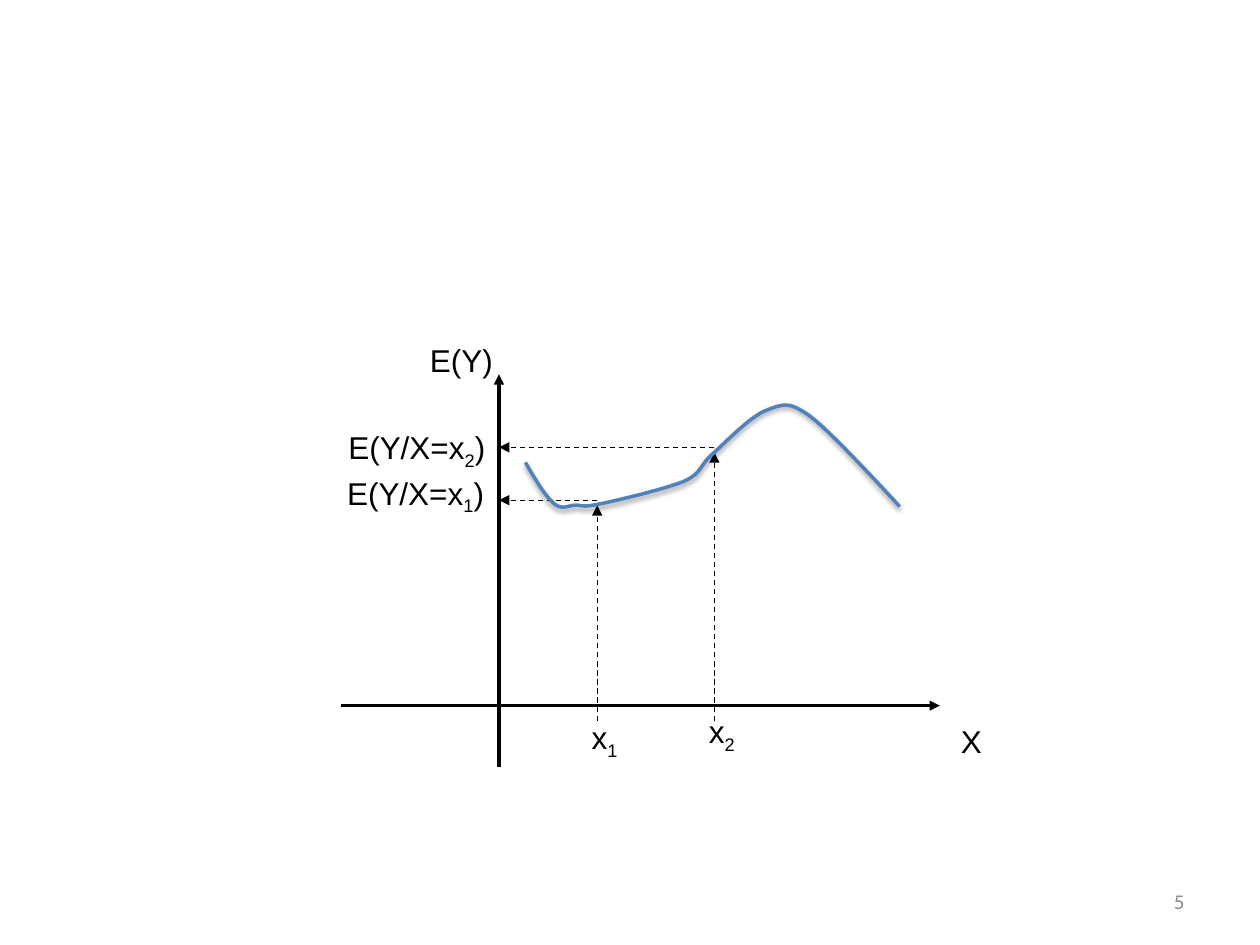
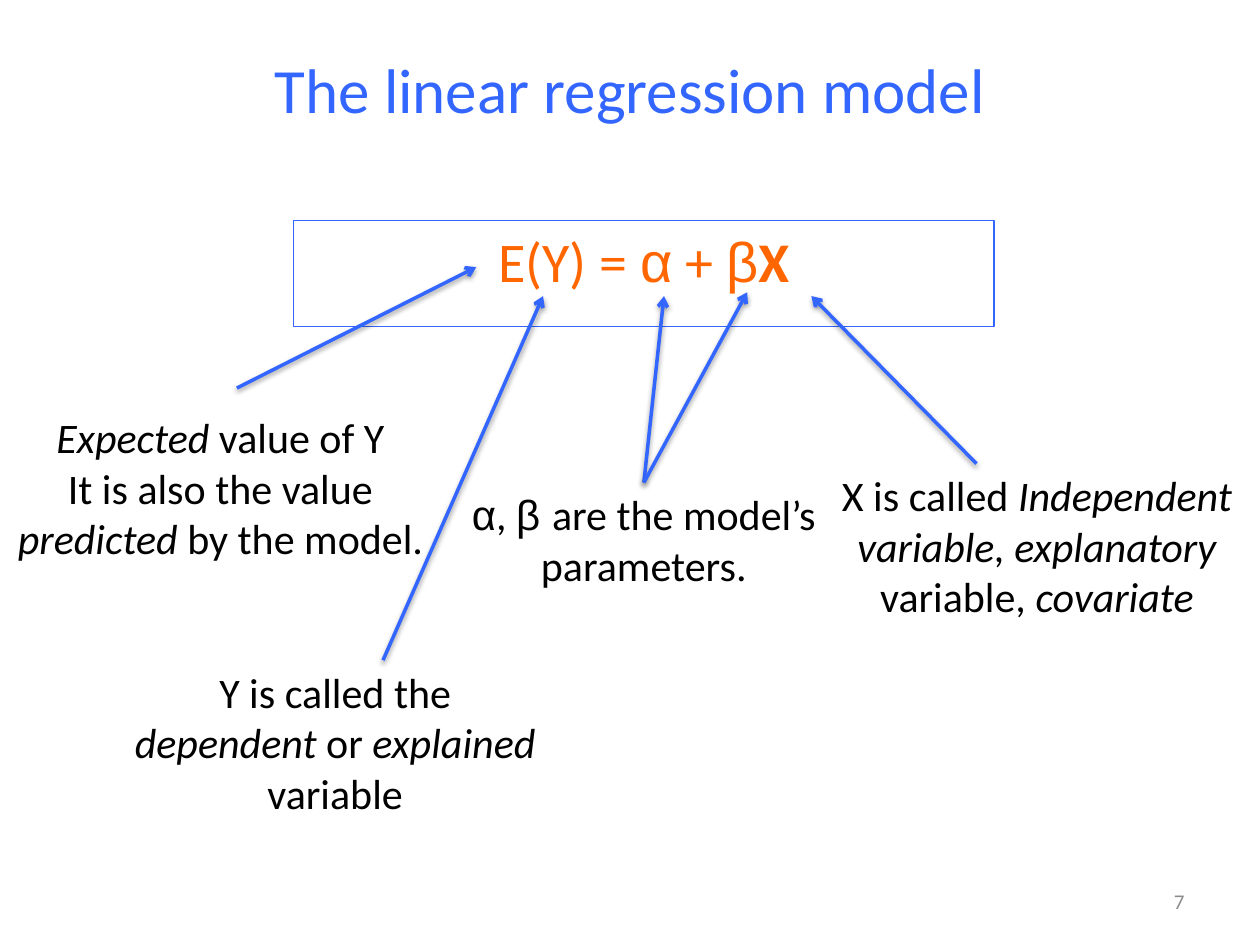
from dataclasses import dataclass

from lxml.etree import SubElement
from pptx import Presentation
from pptx.dml.color import RGBColor
from pptx.enum.dml import MSO_LINE
from pptx.enum.shapes import MSO_CONNECTOR, MSO_SHAPE
from pptx.enum.text import MSO_ANCHOR, PP_ALIGN
from pptx.oxml.ns import qn
from pptx.util import Inches, Pt

BLACK = RGBColor(0x00, 0x00, 0x00)
GREY = RGBColor(0x8C, 0x8C, 0x8C)
BLUE = RGBColor(0x33, 0x66, 0xFF)
ORANGE = RGBColor(0xFF, 0x66, 0x00)
CURVE_BLUE = RGBColor(0x4F, 0x81, 0xBD)

# The slide is a grid of 100 columns by 75 rows of square cells.
COLUMNS, ROWS = 100, 75
CELL = Inches(0.1)

ITALIC = {"italic": True}
SUBSCRIPT = {"subscript": True}
GREEK = {"font": "Arial"}


@dataclass
class Box:
    left: float
    top: float
    width: float
    height: float

    def inner(self, left, top, width, height):
        return Box(self.left + left, self.top + top, width, height)

    def point(self, column, row):
        return round((self.left + column) * CELL), round((self.top + row) * CELL)

    def frame(self):
        return (*self.point(0, 0), round(self.width * CELL), round(self.height * CELL))


SLIDE = Box(0, 0, COLUMNS, ROWS)


def style_run(run, font="Calibri", size=24, color=BLACK, bold=False, italic=False,
              subscript=False):
    run.font.name = font
    run.font.size = Pt(size)
    run.font.color.rgb = color
    run.font.bold = bold
    run.font.italic = italic
    if subscript:
        run._r.get_or_add_rPr().set("baseline", "-25000")


def add_text(slide, box, *paragraphs, align=PP_ALIGN.CENTER, anchor=MSO_ANCHOR.TOP,
             outline=None, **text_format):
    """Each paragraph is a list of runs: a string, or a string with its own format."""
    if outline is None:
        shape = slide.shapes.add_textbox(*box.frame())
    else:
        shape = slide.shapes.add_shape(MSO_SHAPE.RECTANGLE, *box.frame())
        shape.shadow.inherit = False
        shape.fill.background()
        shape.line.color.rgb = outline
        shape.line.width = Pt(0.75)
    frame = shape.text_frame
    frame.word_wrap = True
    frame.vertical_anchor = anchor
    for index, runs in enumerate(paragraphs):
        paragraph = frame.add_paragraph() if index else frame.paragraphs[0]
        paragraph.alignment = align
        for item in runs:
            text, own_format = (item, {}) if isinstance(item, str) else item
            run = paragraph.add_run()
            run.text = text
            style_run(run, **{**text_format, **own_format})


def style_line(shape, color, width, head=None, dashed=False, shadow=False):
    shape.line.color.rgb = color
    shape.line.width = Pt(width)
    if dashed:
        shape.line.dash_style = MSO_LINE.DASH
    properties = shape._element.spPr
    if head:
        SubElement(properties.find(qn("a:ln")), qn("a:tailEnd"), type=head)
    effects = SubElement(properties, qn("a:effectLst"))
    if shadow:
        outer = SubElement(effects, qn("a:outerShdw"), blurRad=str(Pt(3.1)),
                           dist=str(Pt(1.6)), dir="5400000", rotWithShape="0")
        shade = SubElement(outer, qn("a:srgbClr"), val=str(BLACK))
        SubElement(shade, qn("a:alpha"), val="38000")


def add_arrow(slide, box, start, end, color=BLACK, width=0.75, head="triangle", **line_format):
    arrow = slide.shapes.add_connector(
        MSO_CONNECTOR.STRAIGHT, *box.point(*start), *box.point(*end))
    style_line(arrow, color, width, head, **line_format)


def bezier_points(points, steps=12):
    """Sample a chain of cubic curves, each of which starts where the last one ends."""
    for first in range(0, len(points) - 1, 3):
        curve = points[first:first + 4]
        for step in range(1, steps + 1):
            t = step / steps
            weights = ((1 - t) ** 3, 3 * t * (1 - t) ** 2, 3 * t ** 2 * (1 - t), t ** 3)
            yield tuple(sum(weight * point[axis] for weight, point in zip(weights, curve))
                        for axis in (0, 1))


def add_curve(slide, box, points):
    builder = slide.shapes.build_freeform(*box.point(*points[0]))
    builder.add_line_segments([box.point(*point) for point in bezier_points(points)],
                              close=False)
    curve = builder.convert_to_shape()
    curve.fill.background()
    style_line(curve, CURVE_BLUE, 2, shadow=True)


def add_page_number(slide, number):
    add_text(slide, SLIDE.inner(71.7, 69.5, 23.3, 4), [str(number)], size=12, color=GREY,
             align=PP_ALIGN.RIGHT, anchor=MSO_ANCHOR.MIDDLE)


def add_conditional_mean_plot(slide, box):
    axis_column, axis_row = 14.4, 29.4
    add_arrow(slide, box, (axis_column, box.height), (axis_column, 3.1), width=2)
    add_arrow(slide, box, (1.9, axis_row), (49.4, axis_row), width=1.5)

    for column, curve_row, mean_row in ((22.2, 13.5, 13.1), (31.5, 9.3, 8.9)):
        add_arrow(slide, box, (column, axis_row + 1.2), (column, curve_row), dashed=True)
        add_arrow(slide, box, (column, mean_row), (axis_column, mean_row), dashed=True)

    add_curve(slide, box, [
        (16.5, 10.1), (17.3, 11.5), (18.1, 12.8), (18.8, 13.4),
        (19.5, 13.9), (19.9, 13.5), (20.5, 13.5),
        (21.1, 13.5), (21, 13.7), (22.4, 13.4),
        (23.9, 13.1), (27.6, 12.2), (29.1, 11.6),
        (30.6, 10.9), (30.3, 10.3), (31.4, 9.4),
        (32.5, 8.4), (34.5, 6.3), (35.8, 5.9),
        (37.1, 5.4), (37.6, 5.3), (39.3, 6.6),
        (41, 7.9), (46.2, 13.6), (46.2, 13.6)])

    labels = (
        (0.7, 0, 14.2, ["E(Y)"]),
        (39.5, 30.2, 14.2, ["X"]),
        (0.1, 6.9, 14.2, ["E(Y/X=x", ("2", SUBSCRIPT), ")"]),
        (0, 10.5, 14.2, ["E(Y/X=x", ("1", SUBSCRIPT), ")"]),
        (28.9, 29.4, 5.2, ["x", ("2", SUBSCRIPT)]),
        (19.6, 29.9, 5.2, ["x", ("1", SUBSCRIPT)]))
    for left, top, width, runs in labels:
        add_text(slide, box.inner(left, top, width, 4), runs, font="Arial", size=18,
                 align=PP_ALIGN.RIGHT)


def add_title(slide, title):
    add_text(slide, SLIDE.inner(5, 3, 90, 8), [title], size=36, color=BLUE,
             anchor=MSO_ANCHOR.MIDDLE)


def add_annotated_equation(slide, box):
    """Put the equation at the top of the box and the notes on its terms below."""
    add_text(slide, box.inner(23.5, 0, 55.6, 8.4),
             ["E(Y) = ", ("α", GREEK), " + ", ("β", GREEK), ("X", {"bold": True})],
             size=32, color=ORANGE, outline=BLUE)

    notes = (
        (0, 14.7, [["Expected value of Y"], []]),
    )
    notes = (
        (0, 14.7, (
            [("Expected", ITALIC), " value of Y"],
            ["It is also the value ", ("predicted", ITALIC), " by the model."])),
        (9.1, 34.9, (
            ["Y is called the ", ("dependent", ITALIC), " or ", ("explained", ITALIC),
             " variable"],)),
        (64.8, 19.3, (
            ["X is called ", ("Independent variable, explanatory ", ITALIC), "variable, ",
             ("covariate", ITALIC)],)),
        (33.6, 20.8, (
            [("α", GREEK), ", ", ("β ", GREEK), "are the model’s parameters."],)))
    for left, top, paragraphs in notes:
        add_text(slide, box.inner(left, top, 35.4, 13.1), *paragraphs)

    arrows = (
        ((19, 13.3), (38, 3.7)),
        ((30.6, 34.9), (43.3, 6)),
        ((77.7, 19.3), (64.6, 6)),
        ((51.3, 20.8), (52.9, 6)),
        ((51.3, 20.8), (59.5, 5.7)))
    for note_end, term_end in arrows:
        add_arrow(slide, box, note_end, term_end, color=BLUE, width=2, head="arrow",
                  shadow=True)


def main():
    presentation = Presentation()
    presentation.slide_width = COLUMNS * CELL
    presentation.slide_height = ROWS * CELL
    blank = presentation.slide_layouts[6]

    plot_slide = presentation.slides.add_slide(blank)
    add_conditional_mean_plot(plot_slide, SLIDE.inner(25.2, 26.6, 53.7, 34.3))
    add_page_number(plot_slide, 5)

    model_slide = presentation.slides.add_slide(blank)
    add_title(model_slide, "The linear regression model")
    add_annotated_equation(model_slide, SLIDE.inner(-0.2, 17.5, 100.2, 48))
    add_page_number(model_slide, 7)

    presentation.save("out.pptx")


if __name__ == "__main__":
    main()
